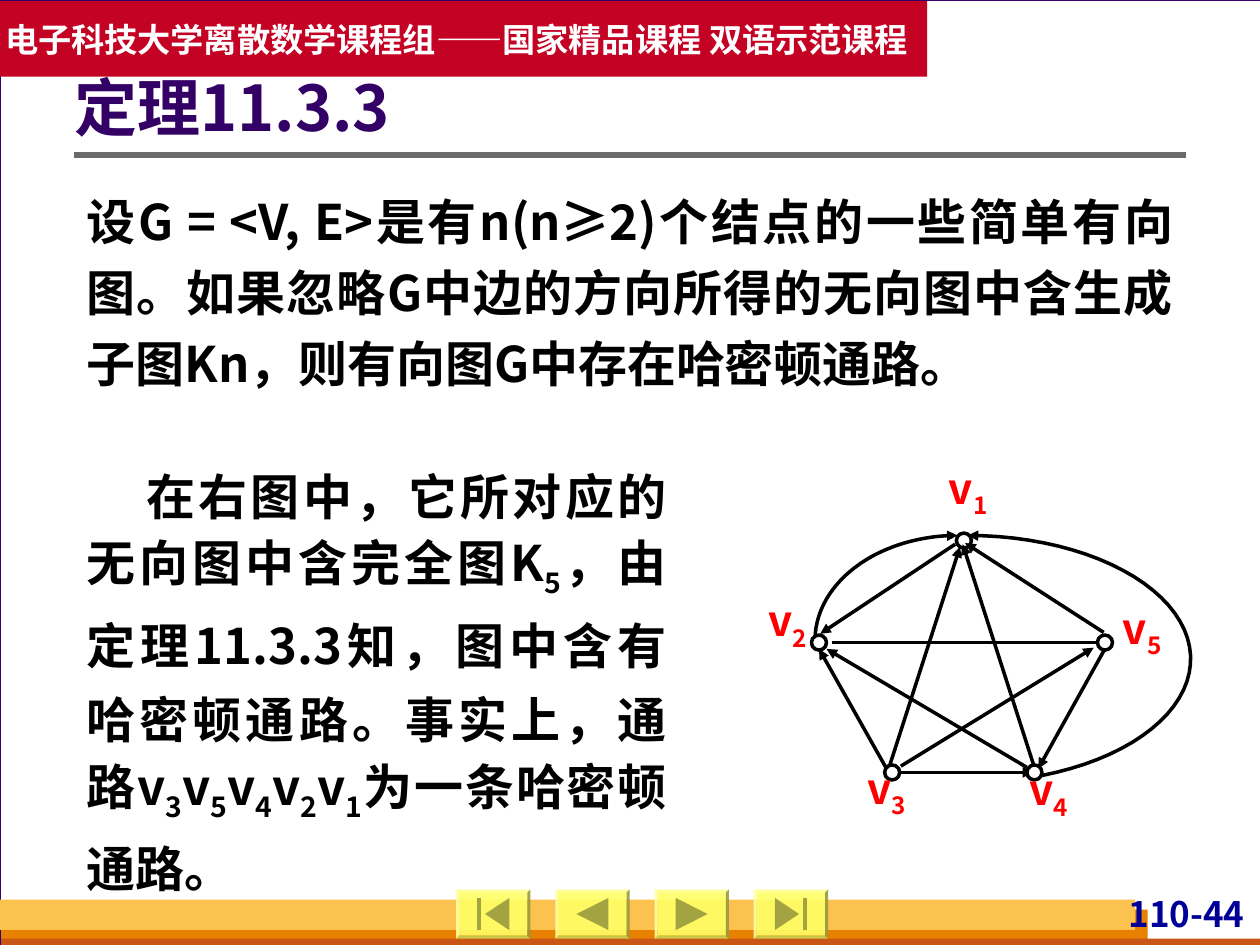
from math import cos, radians, sin

from lxml import etree
from pptx import Presentation
from pptx import util as u
from pptx.dml.color import RGBColor
from pptx.enum import shapes, text
from pptx.oxml.ns import qn

Pt = u.Pt
Kind = shapes.MSO_SHAPE
Align = text.PP_ALIGN
Anchor = text.MSO_ANCHOR

FONT = "Noto Sans CJK SC"
WHITE = RGBColor(0xFF, 0xFF, 0xFF)
BLACK = RGBColor(0, 0, 0)
RED = RGBColor(0xFF, 0, 0)
PURPLE = RGBColor(0x33, 0, 0x66)
NAVY = RGBColor(0, 0, 0x99)
BANNER = RGBColor(0xC3, 0x02, 0x24)
ORANGE = RGBColor(0xE8, 0x80, 0)
RUST = RGBColor(0xC9, 0x56, 0x16)
AMBER = RGBColor(0xFC, 0xC2, 0x4F)
GRAY = RGBColor(0x6B, 0x6B, 0x6B)
YELLOW = RGBColor(0xFF, 0xFF, 0x66)
OLIVE = RGBColor(0xA3, 0xA3, 0x41)
PAGE = RGBColor(0xD8, 0xDA, 0xDA)

NODES = {"1": (550.8, 308.9), "2": (468, 367.2), "3": (509.8, 441.4),
         "4": (591.1, 441.4), "5": (631.4, 367.2)}
LABELS = {"1": (536.4, 264.2), "2": (433.4, 339.8), "3": (489.6, 435.6),
          "4": (582.5, 436.3), "5": (635.8, 344.2)}
ARROWS = [
    (507.6, 439.9, 548.6, 312.5), (591.1, 438.5, 550.1, 311),
    (514.8, 437.8, 625, 370.1), (545.8, 311, 468.7, 362.2),
    (631.4, 370.8, 593.3, 439.2), (514.1, 441.4, 590.4, 441.4),
    (586.8, 438.5, 472.3, 370.8), (630.7, 361.4, 551.5, 310.3),
    (506.2, 438.5, 468, 370.8),
]
THEOREM = ("设G = <V, E>是有n(n≥2)个结点的一些简单有向图。如果忽略G中边的方向所得的"
           "无向图中含生成子图Kn，则有向图G中存在哈密顿通路。")
EXAMPLE = [("在右图中，它所对应的无向图中含完全图K", "5"),
           ("，由定理11.3.3知，图中含有哈密顿通路。事实上，通路v", "3"),
           ("v", "5"), ("v", "4"), ("v", "2"), ("v", "1"), ("为一条哈密顿通路。", "")]


def apply(obj, vals):
    for key, val in vals.items():
        setattr(obj, key, val)


def paint(shape, fill=None, line=None, width=0.75):
    shape.shadow.inherit = False
    if fill is None:
        shape.fill.background()
    else:
        shape.fill.solid()
        shape.fill.fore_color.rgb = fill
    if line is None:
        shape.line.fill.background()
    else:
        shape.line.color.rgb = line
        shape.line.width = Pt(width)
    return shape


def block(slide, kind, box, **look):
    return paint(slide.shapes.add_shape(kind, *map(Pt, box)), **look)


def write(frame, parts, size, color, pad=(0, 0, 0, 0), form=None, wrap=True,
          anchor=Anchor.TOP):
    sides = ("margin_left", "margin_top", "margin_right", "margin_bottom")
    apply(frame, dict(zip(sides, map(Pt, pad))))
    apply(frame, {"word_wrap": wrap, "vertical_anchor": anchor,
                  "auto_size": text.MSO_AUTO_SIZE.NONE})
    para = frame.paragraphs[0]
    apply(para, {"alignment": Align.LEFT, **(form or {})})
    for base, sub in parts:
        for words, shift in ((base, 0), (sub, -25000)):
            if not words:
                continue
            run = para.add_run()
            run.text = words
            apply(run.font, {"size": Pt(size), "bold": True, "name": FONT})
            run.font.color.rgb = color
            props = run.font._element
            etree.SubElement(props, qn("a:ea")).set("typeface", FONT)
            if shift:
                props.set("baseline", str(shift))
    return para


def label(slide, box, parts, size, color, **form):
    area = slide.shapes.add_textbox(*map(Pt, box))
    return write(area.text_frame, parts, size, color, **form)


def tip(shape):
    line = shape.line._get_or_add_ln()
    etree.SubElement(line, qn("a:tailEnd")).set("type", "triangle")


def rule(slide, ends, color=BLACK, width=2, arrow=False):
    link = slide.shapes.add_connector(shapes.MSO_CONNECTOR.STRAIGHT, *map(Pt, ends))
    link.line.color.rgb = color
    link.line.width = Pt(width)
    if arrow:
        tip(link)
    etree.SubElement(link._element.spPr, qn("a:effectLst"))


def trace(slide, dots, close, **look):
    dots = [(Pt(x), Pt(y)) for x, y in dots]
    path = slide.shapes.build_freeform(*dots[0], scale=1.0)
    path.add_line_segments(dots[1:], close=close)
    return paint(path.convert_to_shape(), **look)


def arc(slide, mid, radii, start, end, steps=40):
    turns = [radians(start + (end - start) * i / steps) for i in range(steps + 1)]
    dots = [(mid[0] + radii[0] * cos(t), mid[1] + radii[1] * sin(t)) for t in turns]
    tip(trace(slide, dots, False, line=BLACK, width=2))


def button(slide, left, ahead, bar):
    top, wide, high = 508.3, 42.5, 28.1
    face = block(slide, Kind.BEVEL, (left, top, wide, high), fill=YELLOW)
    face.adjustments[0] = 0.06
    tint = face.fill._xPr.find(".//" + qn("a:srgbClr"))
    etree.SubElement(tint, qn("a:alpha")).set("val", "90000")
    near = 16.6 if bar else 12.1
    icons = [[(near, 14), (30.4, 4.8), (30.4, 23.2)]]
    if bar:
        icons.append([(12.1, 4.8), (14.4, 4.8), (14.4, 23.2), (12.1, 23.2)])
    for icon in icons:
        dots = [(left + (wide - x if ahead else x), top + y) for x, y in icon]
        trace(slide, dots, True, fill=OLIVE)


def frame(slide):
    block(slide, Kind.RECTANGLE, (0, 0, 720.7, 540), fill=WHITE, line=PURPLE)
    for box, fill in (((0.7, 519.8, 655.2, 20.2), ORANGE),
                      ((0.7, 536.4, 720, 5.8), RUST),
                      ((0, 514.1, 648.7, 17.3), AMBER)):
        block(slide, Kind.RECTANGLE, box, fill=fill)
    label(slide, (626.4, 509.8, 87.8, 27.4), [("110-44", "")], 20, NAVY,
          pad=(2.9, 0, 2.9, 0), form={"alignment": Align.RIGHT})
    rule(slide, (42.5, 88.6, 677.5, 88.6), GRAY, 3)
    looks = ((False, True), (False, False), (True, False), (True, True))
    for i, (ahead, bar) in enumerate(looks):
        button(slide, 260.6 + 56.7 * i, ahead, bar)
    band = block(slide, Kind.RECTANGLE, (0, 0.7, 529.9, 43.2), fill=BANNER)
    write(band.text_frame, [("电子科技大学离散数学课程组——国家精品课程 双语示范课程", "")],
          19, WHITE, pad=(2.9, 3.6, 2.9, 3.6), wrap=False, anchor=Anchor.MIDDLE)


def graph(slide):
    rule(slide, (475.2, 367.2, 627.8, 367.2))
    for ends in ARROWS:
        rule(slide, ends, arrow=True)
    arc(slide, (553, 376.6), (127.4, 70.6), 70.5, -90)
    arc(slide, (547.2, 365.8), (81.4, 59.8), 180, 270)
    for name, (x, y) in NODES.items():
        block(slide, Kind.OVAL, (x - 4.3, y - 4.3, 8.6, 8.6),
              fill=None if name == "1" else WHITE, line=BLACK, width=2)
        label(slide, (*LABELS[name], 33.8, 33.1), [("v", name)], 24, RED,
              form={"alignment": Align.CENTER})


def main():
    deck = Presentation()
    apply(deck, {"slide_width": Pt(720), "slide_height": Pt(540)})
    slide = deck.slides.add_slide(deck.slide_layouts[5])
    slide.background.fill.solid()
    slide.background.fill.fore_color.rgb = PAGE
    frame(slide)
    title = slide.shapes.title
    apply(title, dict(zip(("left", "top", "width", "height"),
                          map(Pt, (42.5, 27.4, 635, 72.7)))))
    write(title.text_frame, [("定理11.3.3", "")], 36, PURPLE,
          pad=(0, 3.6, 7.2, 3.6), form={"line_spacing": 0.9}, anchor=Anchor.MIDDLE)
    slide.shapes._spTree.append(title._element)
    label(slide, (42.5, 96.5, 635, 128.2), [(THEOREM, "")], 28, BLACK,
          pad=(7.2, 6, 7.2, 3.6),
          form={"alignment": Align.JUSTIFY, "line_spacing": Pt(40.6)})
    graph(slide)
    para = label(slide, (42.5, 252.7, 345.6, 260.6), EXAMPLE, 28, BLACK,
                 pad=(7.2, 4.6, 7.2, 3.6),
                 form={"alignment": Align.JUSTIFY, "line_spacing": Pt(42.6)})
    para._p.get_or_add_pPr().set("indent", str(Pt(34)))
    deck.save("out.pptx")


if __name__ == "__main__":
    main()
